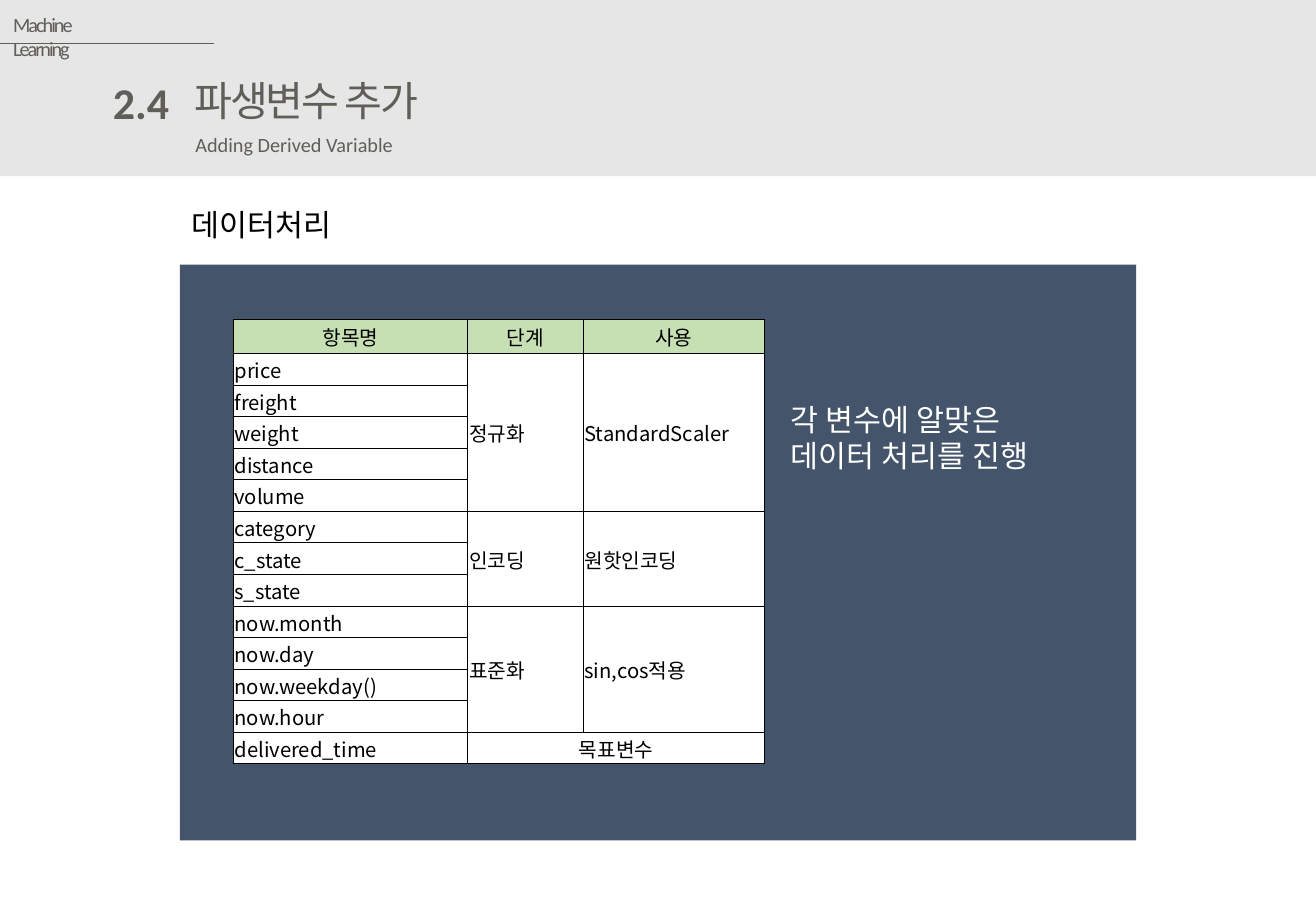
"""Build the slide on data processing for derived variables."""
from lxml import etree
from pptx import Presentation, util as u
from pptx.dml.color import RGBColor
from pptx.enum import shapes, text
from pptx.oxml import ns

WIDTH, HEIGHT = 10.83, 7.5
KOREAN = "Noto Sans CJK KR"
COLORS = {"band": "E7E6E6", "gray": "5F5E58", "panel": "44546A",
          "header": "C6E0B4", "white": "FFFFFF", "black": "000000"}
LEFT, CENTER, RIGHT = text.PP_ALIGN.LEFT, text.PP_ALIGN.CENTER, text.PP_ALIGN.RIGHT
TOP, MIDDLE = text.MSO_ANCHOR.TOP, text.MSO_ANCHOR.MIDDLE

BLOCKS = [((0, -0.01, WIDTH, 1.46), "band"), ((1.48, 2.18, 7.87, 4.74), "panel")]
HEADINGS = [
    {"lines": ["Machine Learning"], "at": (0.01, 0.05, 0.9, 0.3),
     "size": 12, "font": "Calibri", "spacing": -1.2},
    {"lines": ["2.4"], "at": (0.77, 0.57, 0.72, 0.54),
     "size": 26, "font": "Calibri", "bold": True, "align": RIGHT},
    {"lines": ["파생변수 추가"], "at": (1.5, 0.57, 2.25, 0.51),
     "size": 24.4, "font": "Arial", "spacing": -1.2},
    {"lines": ["Adding Derived Variable"], "at": (1.51, 1.04, 2.25, 0.3),
     "size": 12, "font": "Calibri"},
    {"lines": ["데이터처리"], "at": (1.48, 1.6, 3.13, 0.49),
     "size": 18, "color": "black", "anchor": MIDDLE},
    {"lines": ["각 변수에 알맞은", "데이터 처리를 진행"], "at": (6.41, 2.87, 2.5, 1.76),
     "size": 18, "color": "white", "anchor": MIDDLE, "pitch": 21.3, "bottom": 0.35},
]
HEADER = ["항목명", "단계", "사용"]
GROUPS = [
    (["price", "freight", "weight", "distance", "volume"], "정규화", "StandardScaler"),
    (["category", "c_state", "s_state"], "인코딩", "원핫인코딩"),
    (["now.month", "now.day", "now.weekday()", "now.hour"], "표준화", "sin,cos적용"),
]
TARGET = ("delivered_time", "목표변수")
TABLE_LEFT, TABLE_TOP = 1.92, 2.63
COLUMNS = [1.93, 0.95, 1.49]
HEADER_HEIGHT, ROW_HEIGHT = 0.28, 0.26


def rgb(name):
    return RGBColor.from_string(COLORS[name])


def inches(values):
    return [u.Inches(value) for value in values]


def add_span(para, words, size, font=KOREAN, color="black", bold=False, spacing=0):
    span = para.add_run()
    span.text = words
    span.font.size, span.font.name, span.font.bold = u.Pt(size), font, bold
    span.font.color.rgb = rgb(color)
    props = span.font._element
    etree.SubElement(props, ns.qn("a:ea"), typeface=KOREAN)
    if spacing:
        props.set("spc", str(round(spacing * 100)))


def add_block(page, at, color):
    block = page.shapes.add_shape(shapes.MSO_SHAPE.RECTANGLE, *inches(at))
    block.shadow.inherit = False
    block.fill.solid()
    block.fill.fore_color.rgb = rgb(color)
    block.line.fill.background()


def add_rule(page):
    rule = page.shapes.add_connector(
        shapes.MSO_CONNECTOR.STRAIGHT, *inches((-0.01, 0.36, 1.76, 0.36)))
    rule.line.color.rgb = rgb("gray")
    rule.line.width = u.Pt(0.5)
    etree.SubElement(rule._element.spPr, ns.qn("a:effectLst"))


def add_heading(page, lines, at, size, font=KOREAN, color="gray", bold=False,
                spacing=0, align=LEFT, anchor=TOP, pitch=None, bottom=0.05):
    frame = page.shapes.add_textbox(*inches(at)).text_frame
    frame.word_wrap = True
    frame.vertical_anchor = anchor
    frame.margin_bottom = u.Inches(bottom)
    for index, words in enumerate(lines):
        para = frame.add_paragraph() if index else frame.paragraphs[0]
        para.alignment = align
        if pitch:
            para.line_spacing = u.Pt(pitch)
        add_span(para, words, size, font, color, bold, spacing)


def style_cell(cell, color):
    cell.fill.solid()
    cell.fill.fore_color.rgb = rgb(color)
    cell.vertical_anchor = MIDDLE
    cell.margin_left = cell.margin_right = cell.margin_top = u.Inches(0.01)
    cell.margin_bottom = 0
    props = cell._tc.get_or_add_tcPr()
    for index, side in enumerate(("lnL", "lnR", "lnT", "lnB")):
        border = etree.Element(ns.qn(f"a:{side}"), w=str(u.Pt(0.5)))
        fill = etree.SubElement(border, ns.qn("a:solidFill"))
        etree.SubElement(fill, ns.qn("a:srgbClr"), val=COLORS["black"])
        props.insert(index, border)


def write_cell(cell, words, align=LEFT):
    para = cell.text_frame.paragraphs[0]
    para.alignment = align
    add_span(para, words, 12)


def add_steps_table(page):
    heights = [HEADER_HEIGHT] + [ROW_HEIGHT] * (sum(len(group[0]) for group in GROUPS) + 1)
    last = len(heights) - 1
    table = page.shapes.add_table(
        len(heights), len(COLUMNS),
        *inches((TABLE_LEFT, TABLE_TOP, sum(COLUMNS), sum(heights)))).table
    table.first_row = table.horz_banding = False
    for column, width in zip(table.columns, COLUMNS):
        column.width = u.Inches(width)
    for number, (row, height) in enumerate(zip(table.rows, heights)):
        row.height = u.Inches(height)
        for cell in row.cells:
            style_cell(cell, "white" if number else "header")

    for column, words in enumerate(HEADER):
        write_cell(table.cell(0, column), words, CENTER)
    start = 1
    for names, *details in GROUPS:
        for offset, name in enumerate(names):
            write_cell(table.cell(start + offset, 0), name)
        for column, words in enumerate(details, 1):
            table.cell(start, column).merge(table.cell(start + len(names) - 1, column))
            write_cell(table.cell(start, column), words)
        start += len(names)
    table.cell(last, 1).merge(table.cell(last, 2))
    write_cell(table.cell(last, 0), TARGET[0])
    write_cell(table.cell(last, 1), TARGET[1], CENTER)


def main():
    deck = Presentation()
    deck.slide_width, deck.slide_height = inches((WIDTH, HEIGHT))
    page = deck.slides.add_slide(deck.slide_layouts[6])
    for at, color in BLOCKS:
        add_block(page, at, color)
    add_rule(page)
    for heading in HEADINGS:
        add_heading(page, **heading)
    add_steps_table(page)
    deck.save("out.pptx")


if __name__ == "__main__":
    main()
